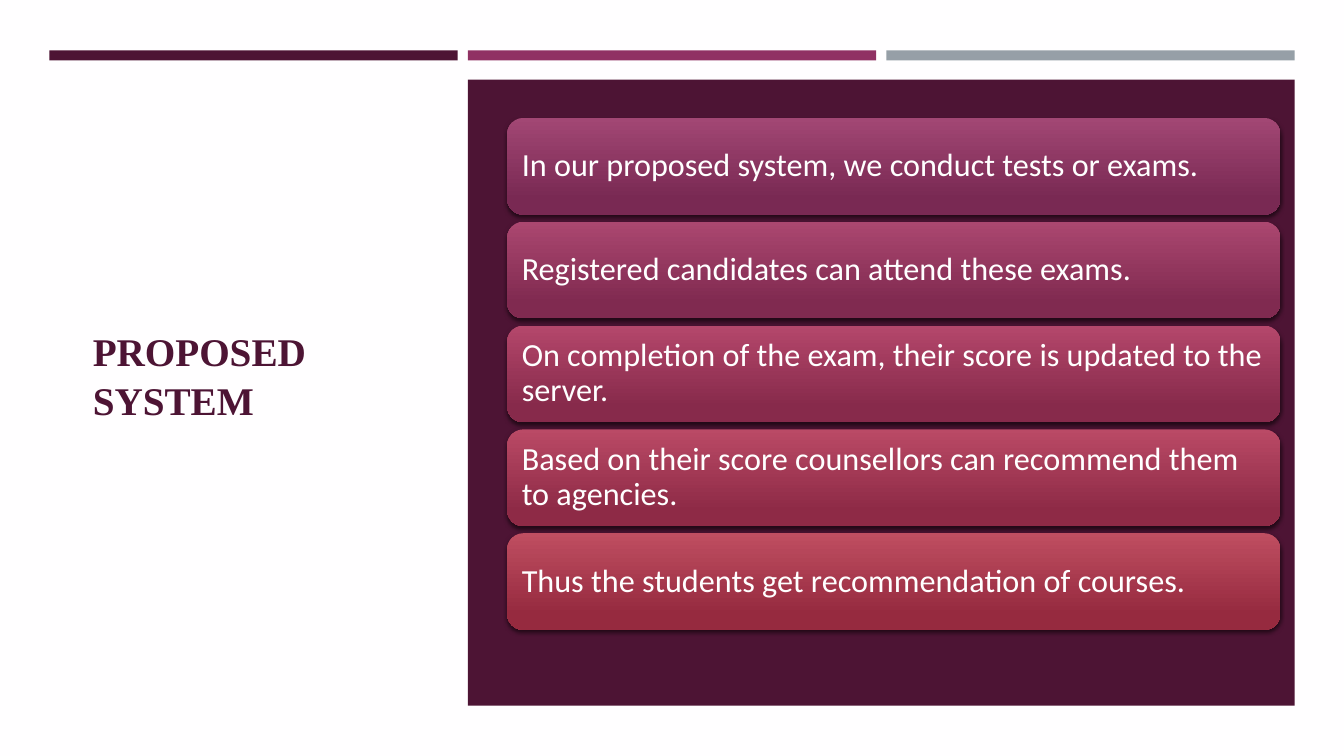
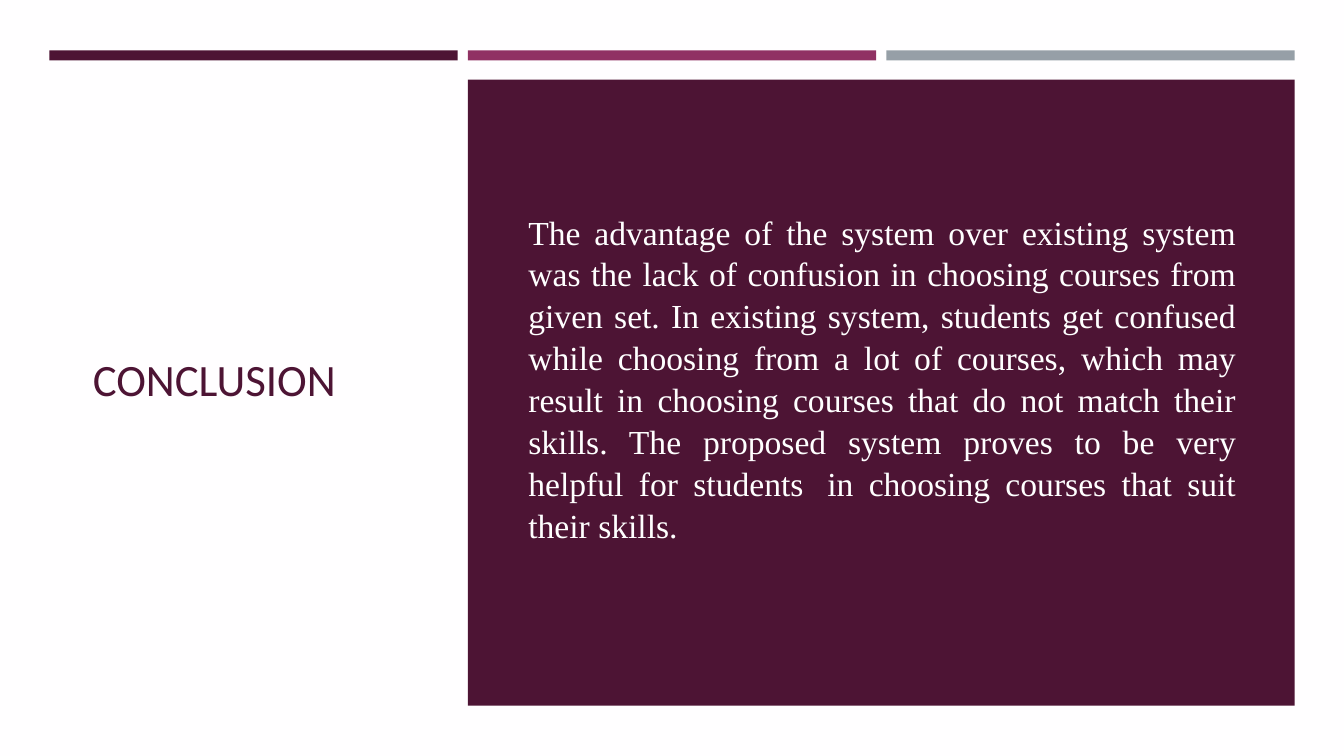
"""Builds two slides that share coloured bands, a dark panel and a side title."""
import pptx
import pptx.dml.color
import pptx.enum.shapes
import pptx.enum.text
import pptx.oxml
import pptx.oxml.ns
import pptx.util
from pptx.util import Inches

PLUM, MAGENTA, GREY, PAPER, WHITE = "4D1434", "903163", "969FA7", "FFFEFF", "FFFFFF"
BAND_LEFT, BAND_TOP, BAND_WIDTH, BAND_STEP = 0.49, 0.5, 4.05, 4.15
BAND_HEIGHT = 0.1
PANEL_BOX = (4.64, 0.79, 8.2, 6.21)
BODY_BOX = (5.14, 1.17, 7.22, 5.15)
CARD_LEFT, CARD_TOP, CARD_WIDTH, CARD_HEIGHT, CARD_STEP = 5.03, 1.17, 7.67, 0.96, 1.03

SERIF_TITLE = {"name": "Times New Roman", "size": 28, "bold": True, "color": PLUM}
SANS_TITLE = {"name": "Calibri", "size": 32, "bold": False, "color": PLUM}
CARD_FONT = {"name": "Calibri", "size": 23, "color": WHITE}
BODY_FONT = {"name": "Times New Roman", "size": 24, "color": WHITE}

CARDS = [
    ("In our proposed system, we conduct tests or exams.", "A24774", "792953"),
    ("Registered candidates can attend these exams.", "AB4770", "802A50"),
    ("On completion of the exam, their score is updated to the server.", "B4476B", "872A4B"),
    ("Based on their score counsellors can recommend them to agencies.", "BA4A66", "8E2A46"),
    ("Thus the students get recommendation of courses.", "BF4E61", "962A3F"),
]
CONCLUSION = (
    "The advantage of the system over existing system was the lack of confusion in "
    "choosing courses from given set. In existing system, students get confused while "
    "choosing from a lot of courses, which may result in choosing courses that do not "
    "match their skills. The proposed system proves to be very helpful for "
    "students\u00a0 in choosing courses that suit their skills."
)


def rgb(value):
    """Turn a hex string into a colour."""
    return pptx.dml.color.RGBColor.from_string(value)


def write_text(shape, text, font, **paragraph_format):
    """Fill a shape with one formatted, vertically centred paragraph."""
    frame = shape.text_frame
    frame_format = {
        "word_wrap": True,
        "auto_size": pptx.enum.text.MSO_AUTO_SIZE.NONE,
        "vertical_anchor": pptx.enum.text.MSO_ANCHOR.MIDDLE,
        "text": text,
    }
    for side in ("left", "top", "right", "bottom"):
        frame_format[f"margin_{side}"] = Inches(0.1)
    for name, value in frame_format.items():
        setattr(frame, name, value)
    paragraph = frame.paragraphs[0]
    paragraph.alignment = pptx.enum.text.PP_ALIGN.LEFT
    for name, value in paragraph_format.items():
        setattr(paragraph, name, value)
    run_font = paragraph.runs[0].font
    for name, value in font.items():
        if name == "color":
            run_font.color.rgb = rgb(value)
        else:
            setattr(run_font, name, pptx.util.Pt(value) if name == "size" else value)
    return paragraph


def place(shape, box):
    """Move and size a placeholder."""
    for name, value in zip(("left", "top", "width", "height"), box):
        setattr(shape, name, Inches(value))


def add_block(slide, box, color=None, kind="RECTANGLE"):
    """Add an outline-free shape, filled when a colour is given."""
    preset = getattr(pptx.enum.shapes.MSO_SHAPE, kind)
    shape = slide.shapes.add_shape(preset, *map(Inches, box))
    shape.shadow.inherit = False
    shape.line.fill.background()
    if color:
        shape.fill.solid()
        shape.fill.fore_color.rgb = rgb(color)
    return shape


def add_shadow(shape):
    """Put a soft black shadow below a shape."""
    effects = shape._element.spPr.find(pptx.oxml.ns.qn("a:effectLst"))
    effects.append(pptx.oxml.parse_xml(
        f'<a:outerShdw {pptx.oxml.ns.nsdecls("a")} blurRad="38100" dist="25400" '
        'dir="5400000" rotWithShape="0"><a:srgbClr val="000000">'
        '<a:alpha val="55000"/></a:srgbClr></a:outerShdw>'
    ))


def add_card(slide, index, text, top_color, bottom_color):
    """Add one rounded gradient card of the stack."""
    top = CARD_TOP + index * CARD_STEP
    card = add_block(slide, (CARD_LEFT, top, CARD_WIDTH, CARD_HEIGHT), kind="ROUNDED_RECTANGLE")
    card.fill.gradient()
    card.fill.gradient_angle = 270
    stops = zip(card.fill.gradient_stops, (0, 0.84), (top_color, bottom_color))
    for stop, position, color in stops:
        stop.position = position
        stop.color.rgb = rgb(color)
    add_shadow(card)
    write_text(card, text, CARD_FONT, line_spacing=0.9)


def add_body(slide, text):
    """Write justified text without a bullet in the body placeholder."""
    body = slide.placeholders[1]
    place(body, BODY_BOX)
    paragraph = write_text(
        body, text, BODY_FONT,
        alignment=pptx.enum.text.PP_ALIGN.JUSTIFY, line_spacing=1.04,
        space_before=pptx.util.Pt(4.8), space_after=pptx.util.Pt(6),
    )
    properties = paragraph._p.get_or_add_pPr()
    for name in ("marL", "indent"):
        properties.set(name, "0")
    properties.append(pptx.oxml.parse_xml(f'<a:buNone {pptx.oxml.ns.nsdecls("a")}/>'))


def add_base_slide(presentation, layout_name, title, title_font, title_top):
    """Add a slide with its title, three bands and dark panel."""
    slide = presentation.slides.add_slide(presentation.slide_layouts.get_by_name(layout_name))
    place(slide.shapes.title, (0.82, title_top, 3.34, 5.15))
    write_text(slide.shapes.title, title, title_font, line_spacing=1.04)
    for index, color in enumerate((PLUM, MAGENTA, GREY)):
        left = BAND_LEFT + index * BAND_STEP
        add_block(slide, (left, BAND_TOP, BAND_WIDTH, BAND_HEIGHT), color)
    panel = add_block(slide, PANEL_BOX, PLUM)
    tree = slide.shapes._spTree
    tree.remove(panel._element)
    tree.insert(2, panel._element)
    return slide


def main():
    """Build and save the presentation."""
    presentation = pptx.Presentation()
    presentation.slide_width = Inches(13.33)
    presentation.slide_height = Inches(7.5)
    background = presentation.slide_master.background.fill
    background.solid()
    background.fore_color.rgb = rgb(PAPER)

    proposal = add_base_slide(presentation, "Title Only", "PROPOSED SYSTEM", SERIF_TITLE, 1.14)
    for index, card in enumerate(CARDS):
        add_card(proposal, index, *card)

    conclusion = add_base_slide(
        presentation, "Title and Content", "CONCLUSION", SANS_TITLE, 1.17)
    add_body(conclusion, CONCLUSION)
    presentation.save("out.pptx")


main()
